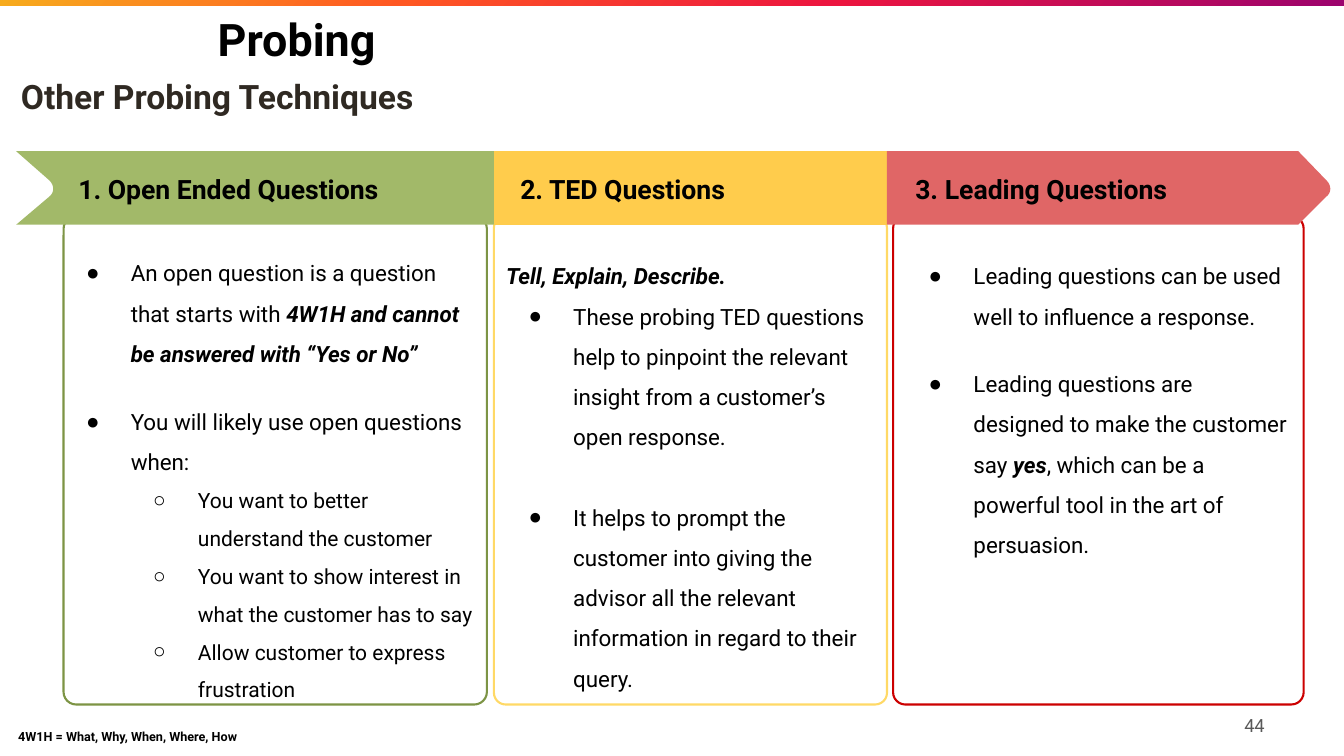
from copy import deepcopy
from dataclasses import dataclass
from typing import Any

from lxml.etree import SubElement
from pptx import Presentation
from pptx.dml.color import RGBColor
from pptx.enum.shapes import MSO_SHAPE as Preset
from pptx.enum.text import MSO_ANCHOR as Anchor, MSO_AUTO_SIZE as AutoSize, PP_ALIGN as Align
from pptx.oxml.ns import qn
from pptx.util import Inches, Pt

WIDTH, HEIGHT = Inches(13.33), Inches(7.5)


@dataclass(frozen=True)
class Theme:
    font: str = "Roboto"
    ink: str = "000000"
    subtitle_ink: str = "2F2922"
    muted: str = "595959"
    paper: str = "FFFFFF"
    bar: tuple = ((0, "F7AB1D"), (30, "FF5722"), (62, "EC153F"), (100, "9C036D"))
    title: int = 32
    subtitle: int = 24
    heading: int = 19
    body: int = 16
    detail: int = 15
    number: int = 13
    note: int = 9


THEME = Theme()


@dataclass(frozen=True)
class Area:
    """A rectangle in percent of the slide's width and height."""
    left: float
    top: float
    width: float
    height: float

    def box(self) -> tuple[int, int, int, int]:
        return across(self.left), down(self.top), across(self.width), down(self.height)


@dataclass(frozen=True)
class Span:
    text: str
    bold: bool = False
    italic: bool = False


@dataclass(frozen=True)
class Line:
    """A paragraph; level 0 has no bullet, and gap is the space after it in points."""
    spans: tuple[Span, ...]
    level: int = 0
    gap: float = 0


@dataclass(frozen=True)
class Column:
    heading: str
    band: str
    border: str
    card_area: Area
    heading_area: Area
    list_area: Area
    lines: tuple[Line, ...]


@dataclass(frozen=True)
class Label:
    text: str
    area: Area
    size: int
    color: str = THEME.ink
    bold: bool = True
    align: Any = Align.LEFT
    anchor: Any = Anchor.MIDDLE


def across(percent: float) -> int:
    return round(WIDTH * percent / 100)


def down(percent: float) -> int:
    return round(HEIGHT * percent / 100)


def line(text: str, level: int = 1, gap: float = 0) -> Line:
    return Line((Span(text),), level, gap)


CARD_TOP, CARD_HEIGHT = 28.6, 64.6
BAND_TOP, BAND_BOTTOM = 20, 29.73
BAND_EDGES = (1.2, 36.75, 66, 96.6)
HEAD_TOP, HEAD_HEIGHT = 22, 5.07

COLUMNS = (
    Column("1. Open Ended Questions", "A2B969", "7D9445",
           Area(4.73, CARD_TOP, 31.5, CARD_HEIGHT),
           Area(3.75, HEAD_TOP, 26.5, HEAD_HEIGHT), Area(4.73, 32.53, 30.5, 61),
           (Line((Span("An open question is a question that starts with "),
                  Span("4W1H and cannot be answered with “Yes or No”", True, True)), 1, 20),
            line("You will likely use open questions when:"),
            line("You want to better understand the customer", 2),
            line("You want to show interest in what the customer has to say", 2),
            line("Allow customer to express frustration", 2))),
    Column("2. TED Questions", "FFCC4C", "FFD966",
           Area(36.75, CARD_TOP, 29.25, CARD_HEIGHT),
           Area(36.08, HEAD_TOP, 20.5, HEAD_HEIGHT), Area(37.65, 32.93, 27.4, 58),
           (Line((Span("Tell, Explain, Describe.", True, True),)),
            line("These probing TED questions help to pinpoint the relevant insight "
                 "from a customer’s open response.", gap=28.5),
            line("It helps to prompt the customer into giving the advisor all the "
                 "relevant information in regard to their query."))),
    Column("3. Leading Questions", "E06666", "CC0000",
           Area(66.45, CARD_TOP, 30.55, CARD_HEIGHT),
           Area(63.9, HEAD_TOP, 27.15, HEAD_HEIGHT), Area(67.43, 32.93, 28.35, 42),
           (line("Leading questions can be used well to influence a response.", gap=19.5),
            Line((Span("Leading questions are designed to make the customer say "),
                  Span("yes", True, True),
                  Span(", which can be a powerful tool in the art of persuasion.")), 1))),
)

TITLE = Label("Probing", Area(16.2, 0, 63, 10.27), THEME.title)
SUBTITLE = Label("Other Probing Techniques", Area(1.55, 10, 78, 5.33),
                 THEME.subtitle, THEME.subtitle_ink)
NOTES = (
    Label("4W1H = What, Why, When, Where, How", Area(1.35, 94.93, 40, 5.07), THEME.note),
    Label("44", Area(89.1, 93.93, 5, 4), THEME.number, THEME.muted, False, Align.RIGHT),
)


def apply(target: Any, values: dict[str, Any]) -> None:
    for name, value in values.items():
        setattr(target, name, value)


def paint(shape: Any, fill: str, border: str | None = None) -> None:
    shape.shadow.inherit = False
    shape.fill.solid()
    shape.fill.fore_color.rgb = RGBColor.from_string(fill)
    if border:
        shape.line.color.rgb = RGBColor.from_string(border)
        shape.line.width = Pt(1.5)
    else:
        shape.line.fill.background()


def prepare(box: Any, area: Area, anchor: Any) -> Any:
    apply(box, dict(zip(("left", "top", "width", "height"), area.box())))
    apply(box.text_frame, {
        "word_wrap": True, "auto_size": AutoSize.NONE, "vertical_anchor": anchor,
        "margin_left": 0, "margin_top": 0, "margin_right": 0, "margin_bottom": 0})
    return box.text_frame


def add_span(para: Any, span: Span, size: int, color: str) -> None:
    run = para.add_run()
    run.text = span.text
    apply(run.font, {"name": THEME.font, "size": Pt(size),
                     "bold": span.bold, "italic": span.italic})
    run.font.color.rgb = RGBColor.from_string(color)


def set_bullet(para: Any, level: int) -> None:
    """Indent the paragraph and give it the mark of its level."""
    props = para._p.get_or_add_pPr()
    props.set("marL", str(across(5 * level)))
    props.set("indent", str(-across(3.33) if level else 0))
    if not level:
        SubElement(props, qn("a:buNone"))
        return
    SubElement(SubElement(props, qn("a:buClr")), qn("a:srgbClr")).set("val", THEME.ink)
    SubElement(props, qn("a:buChar")).set("char", "●○"[level - 1])


def write_label(box: Any, label: Label) -> None:
    para = prepare(box, label.area, label.anchor).paragraphs[0]
    set_bullet(para, 0)
    apply(para, {"alignment": label.align, "space_before": Pt(0)})
    add_span(para, Span(label.text, label.bold), label.size, label.color)


def write_list(box: Any, column: Column) -> None:
    frame = prepare(box, column.list_area, Anchor.TOP)
    for index, item in enumerate(column.lines):
        para = frame.add_paragraph() if index else frame.paragraphs[0]
        set_bullet(para, item.level)
        apply(para, {"level": max(item.level - 1, 0), "line_spacing": 1.5,
                     "space_before": Pt(0), "space_after": Pt(item.gap)})
        for span in item.spans:
            add_span(para, span, THEME.detail if item.level == 2 else THEME.body, THEME.ink)


def nose(base: float, tip: float) -> list[tuple[float, float]]:
    """Points along the rounded tip of the ribbon, from top to bottom."""
    steps = [step / 12 for step in range(13)]
    return [tuple((1 - t) ** 3 * a + 3 * t * (1 - t) ** 2 * b + 3 * t * t * (1 - t) * c + t ** 3 * d
                  for a, b, c, d in ((base, tip, tip, base), (23.87, 24.53, 25.47, 26)))
            for t in steps]


def add_band(page: Any, index: int, fill: str) -> None:
    left, right = BAND_EDGES[index:index + 2]
    points = [(left, BAND_TOP), (right, BAND_TOP), (right, BAND_BOTTOM), (left, BAND_BOTTOM)]
    if index == 0:
        points += reversed(nose(3.68, 4.05))
    elif index == len(COLUMNS) - 1:
        points[2:2] = nose(98.7, 99.08)
    (start_x, start_y), *rest = [(across(x), down(y)) for x, y in points]
    outline = page.shapes.build_freeform(start_x, start_y)
    outline.add_line_segments(rest, close=True)
    paint(outline.convert_to_shape(), fill)


def add_top_bar(page: Any) -> None:
    bar = page.shapes.add_shape(Preset.RECTANGLE, *Area(0, 0, 100, 0.8).box())
    paint(bar, THEME.paper)
    bar.fill.gradient()
    bar.fill.gradient_angle = 315
    stops = bar.element.spPr.find(qn("a:gradFill")).find(qn("a:gsLst"))
    sample = deepcopy(stops[0])
    stops[:] = [deepcopy(sample) for _ in THEME.bar]
    for stop, (place, color) in zip(stops, THEME.bar):
        stop.set("pos", str(place * 1000))
        stop[:] = []
        SubElement(stop, qn("a:srgbClr")).set("val", color)


def main() -> None:
    deck = Presentation()
    apply(deck, {"slide_width": WIDTH, "slide_height": HEIGHT})
    page = deck.slides.add_slide(deck.slide_layouts.get_by_name("Comparison"))
    title, subtitle, *lists = list(page.placeholders)
    for column in COLUMNS:
        card = page.shapes.add_shape(Preset.ROUNDED_RECTANGLE, *column.card_area.box())
        card.adjustments[0] = 0.03
        paint(card, THEME.paper, column.border)
    add_top_bar(page)
    for index, column in enumerate(COLUMNS):
        add_band(page, index, column.band)
    for box, column in zip(lists, COLUMNS):
        write_list(box, column)
        page.shapes.element.append(box.element)
    write_label(title, TITLE)
    write_label(subtitle, SUBTITLE)
    headings = [Label(column.heading, column.heading_area, THEME.heading,
                      align=Align.CENTER, anchor=Anchor.BOTTOM) for column in COLUMNS]
    for label in (*headings, *NOTES):
        write_label(page.shapes.add_textbox(*label.area.box()), label)
    deck.save("out.pptx")


if __name__ == "__main__":
    main()
